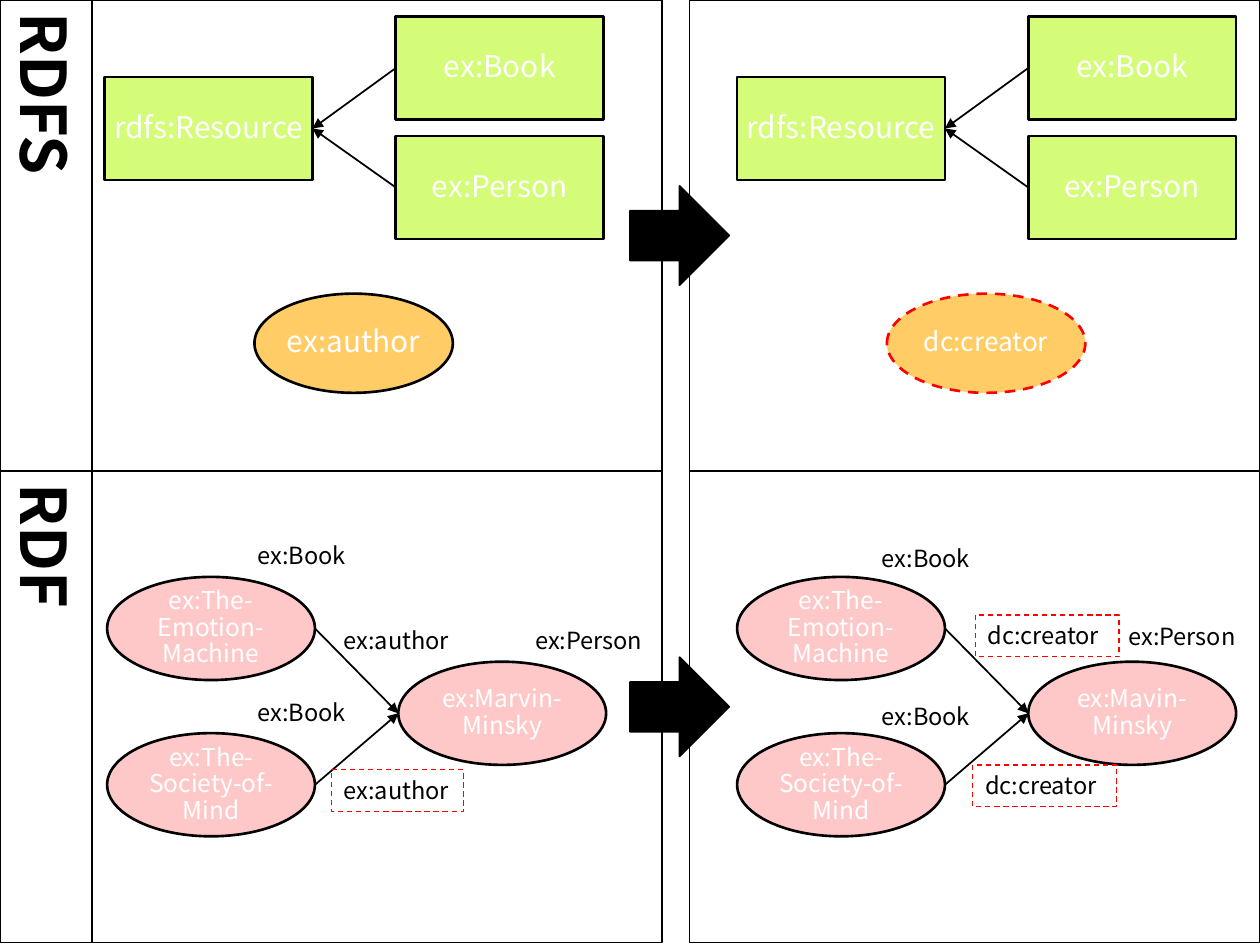
import pptx
import pptx.util
import pptx.dml.color
import pptx.enum.dml
import pptx.enum.shapes
import pptx.enum.text
import pptx.oxml.ns
import lxml.etree

Cm, Pt = pptx.util.Cm, pptx.util.Pt
qn = pptx.oxml.ns.qn
KIND = pptx.enum.shapes.MSO_SHAPE
DASH = pptx.enum.dml.MSO_LINE.DASH
ALIGN = pptx.enum.text.PP_ALIGN
ANCHOR = pptx.enum.text.MSO_ANCHOR

FONT = "Noto Sans CJK JP"
HUE = {
    "ink": "000000",
    "paper": "FFFFFF",
    "class": "D5FC79",
    "prop": "FFCC66",
    "item": "FFC8C8",
    "new": "FF0000",
}
ROW_H, SIDE_W, PANE_W = 9.5, 1.85, 11.5
PANE_X = (SIDE_W, 13.9)
NODE_W, NODE_H = 4.19, 2.08
STEP = 5.87  # from the first column of nodes to the second


def rgb(name):
    return pptx.dml.color.RGBColor.from_string(HUE[name])


def write(shape, text, size=17, color="paper", bold=False, align=ALIGN.CENTER,
          inset=None, wrap=True, space=None):
    frame = shape.text_frame
    frame.word_wrap = wrap
    if inset is not None:
        frame.margin_left = frame.margin_right = Cm(inset)
        frame.margin_top = frame.margin_bottom = Cm(inset)
    para = frame.paragraphs[0]
    para.alignment = align
    para.line_spacing = space
    run = para.add_run()
    run.text = text
    run.font.name = FONT
    run.font.size = Pt(size)
    run.font.bold = bold
    run.font.color.rgb = rgb(color)


def edge(shape, color="ink", width=1, dash=None):
    shape.line.color.rgb = rgb(color)
    shape.line.width = Pt(width)
    if dash:
        shape.line.dash_style = dash


def block(slide, kind, x, y, w, h, fill="paper", **line):
    shape = slide.shapes.add_shape(kind, Cm(x), Cm(y), Cm(w), Cm(h))
    shape.shadow.inherit = False
    shape.fill.solid()
    shape.fill.fore_color.rgb = rgb(fill)
    edge(shape, **line)
    return shape


def node(slide, kind, x, y, text, fill, size=17, w=NODE_W, h=NODE_H, **line):
    shape = block(slide, kind, x, y, w, h, fill, width=1.5, **line)
    shape.text_frame.vertical_anchor = ANCHOR.MIDDLE
    write(shape, text, size=size, inset=0.03, space=0.9)


def arrow(slide, x1, y1, x2, y2):
    """Draw a line whose head is at its second point."""
    link = slide.shapes.add_connector(
        pptx.enum.shapes.MSO_CONNECTOR.STRAIGHT, Cm(x1), Cm(y1), Cm(x2), Cm(y2))
    edge(link)
    props = link.element.spPr
    lxml.etree.SubElement(props.find(qn("a:ln")), qn("a:tailEnd"), type="triangle")
    lxml.etree.SubElement(props, qn("a:effectLst"))


def label(slide, x, y, text, w, boxed=False):
    box = slide.shapes.add_textbox(Cm(x), Cm(y), Cm(w), Cm(0.84))
    write(box, text, size=13.5, color="ink", align=ALIGN.LEFT, wrap=False)
    if boxed:
        edge(box, "new", 0.75, DASH)


def row(slide, y, name):
    """Draw the side heading, the two panes and the arrow between them."""
    for x in PANE_X:
        block(slide, KIND.RECTANGLE, x, y, PANE_W, ROW_H)
    side = block(slide, KIND.RECTANGLE, 0, y, SIDE_W, ROW_H)
    write(side, name, size=36, color="ink", bold=True)
    side.element.find(".//" + qn("a:bodyPr")).set("vert", "eaVert")
    block(slide, KIND.RIGHT_ARROW, 12.7, y + 3.75, 2, 2, "ink")


def schema(slide, x, y, prop, size, **line):
    """Draw the classes and the property."""
    root = y + 1.55
    node(slide, KIND.RECTANGLE, x, root, "rdfs:Resource", "class")
    for top, text in ((0.33, "ex:Book"), (2.74, "ex:Person")):
        node(slide, KIND.RECTANGLE, x + STEP, y + top, text, "class")
        arrow(slide, x + STEP, y + top + NODE_H / 2, x + NODE_W, root + NODE_H / 2)
    node(slide, KIND.OVAL, x + 3.02, y + 5.92, prop, "prop",
         size=size, w=4, h=2, **line)


def graph(slide, x, y, person, labels):
    """Draw two books linked to their author, and the labels."""
    mid = y + 3.84
    node(slide, KIND.OVAL, x + STEP, mid, person, "item", size=14)
    books = ((2.13, "ex:The-Emotion-Machine"), (5.28, "ex:The-Society-of-Mind"))
    for top, text in books:
        node(slide, KIND.OVAL, x, y + top, text, "item", size=14)
        arrow(slide, x + NODE_W, y + top + NODE_H / 2, x + STEP, mid + NODE_H / 2)
    for left, top, *rest in labels:
        label(slide, x + left, y + top, *rest)


def main():
    deck = pptx.Presentation()
    deck.slide_width, deck.slide_height = Cm(25.4), Cm(19.05)
    slide = deck.slides.add_slide(deck.slide_layouts[6])

    row(slide, 0, "RDFS")
    schema(slide, 2.11, 0, "ex:author", 17)
    schema(slide, 14.86, 0, "dc:creator", 15, color="new", dash=DASH)

    row(slide, ROW_H, "RDF")
    graph(slide, 2.16, ROW_H, "ex:Marvin-Minsky", (
        (2.79, 1.27, "ex:Book", 2.34),
        (2.79, 4.45, "ex:Book", 2.34),
        (4.52, 3, "ex:author", 2.67),
        (8.38, 3, "ex:Person", 2.77),
        (4.52, 6.02, "ex:author", 2.67, True),
    ))
    graph(slide, 14.86, ROW_H, "ex:Mavin-Minsky", (
        (2.67, 1.35, "ex:Book", 2.34),
        (2.67, 4.52, "ex:Book", 2.34),
        (7.64, 2.92, "ex:Person", 2.77),
        (4.8, 2.9, "dc:creator", 2.9, True),
        (4.75, 5.92, "dc:creator", 2.9, True),
    ))
    deck.save("out.pptx")


if __name__ == "__main__":
    main()
